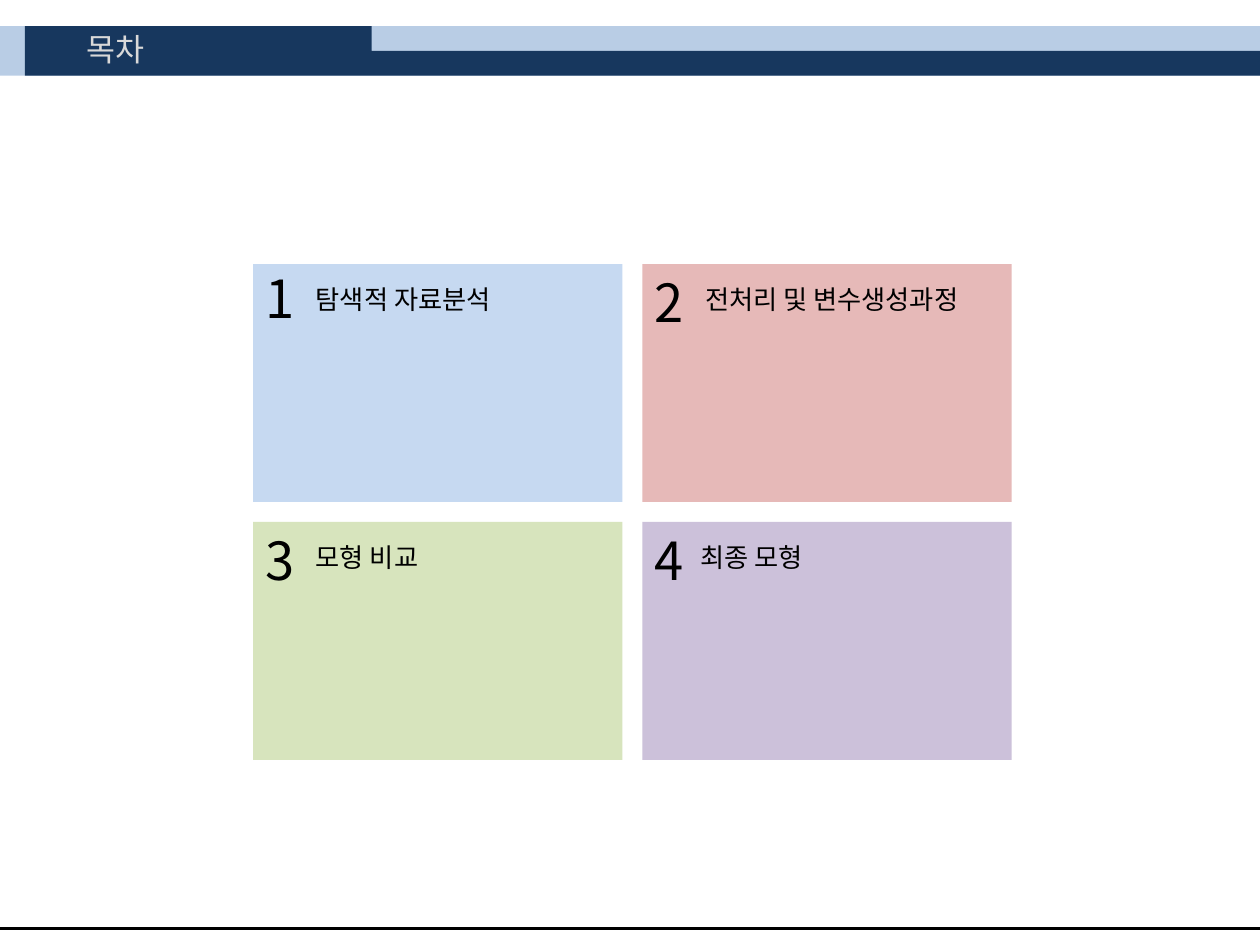
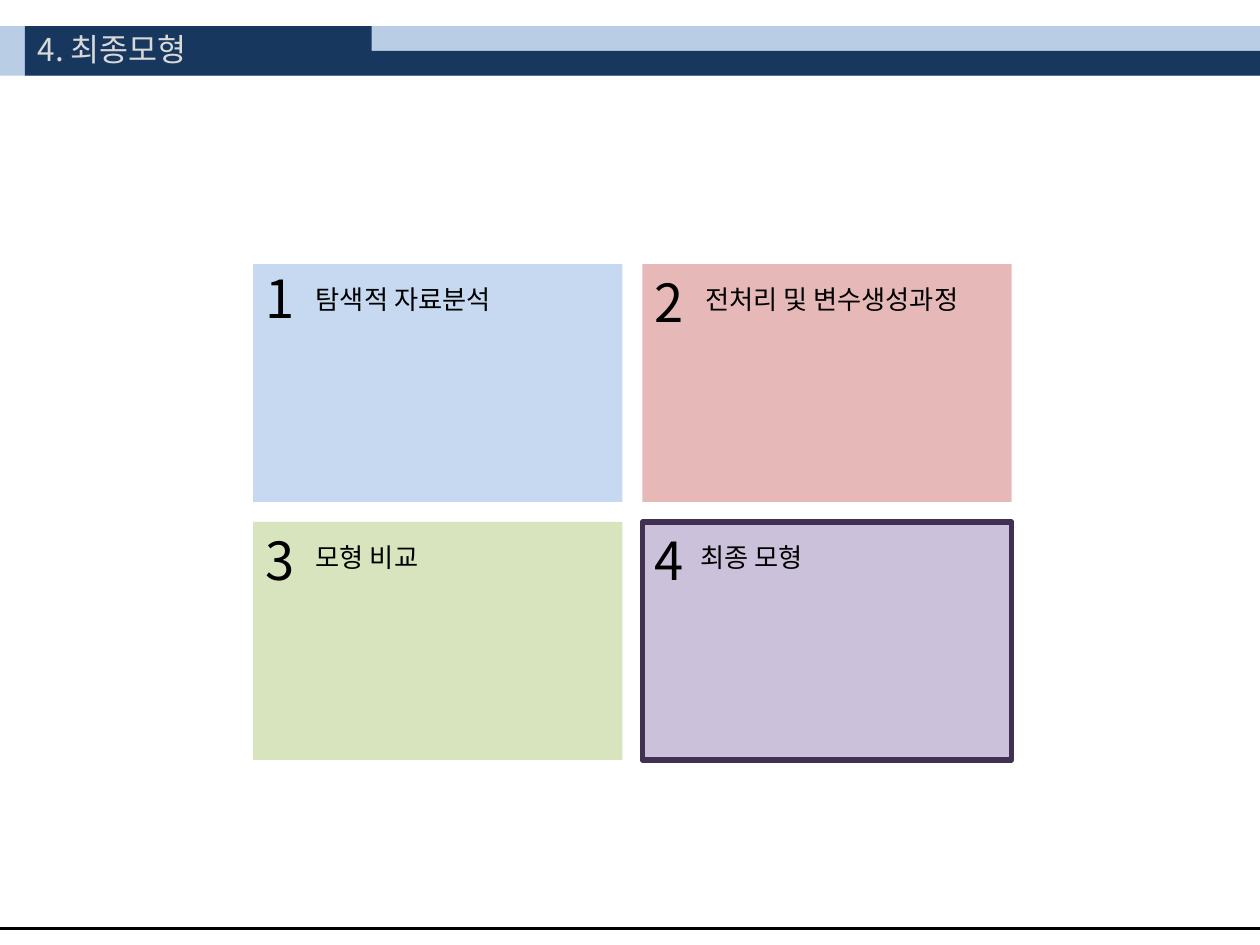
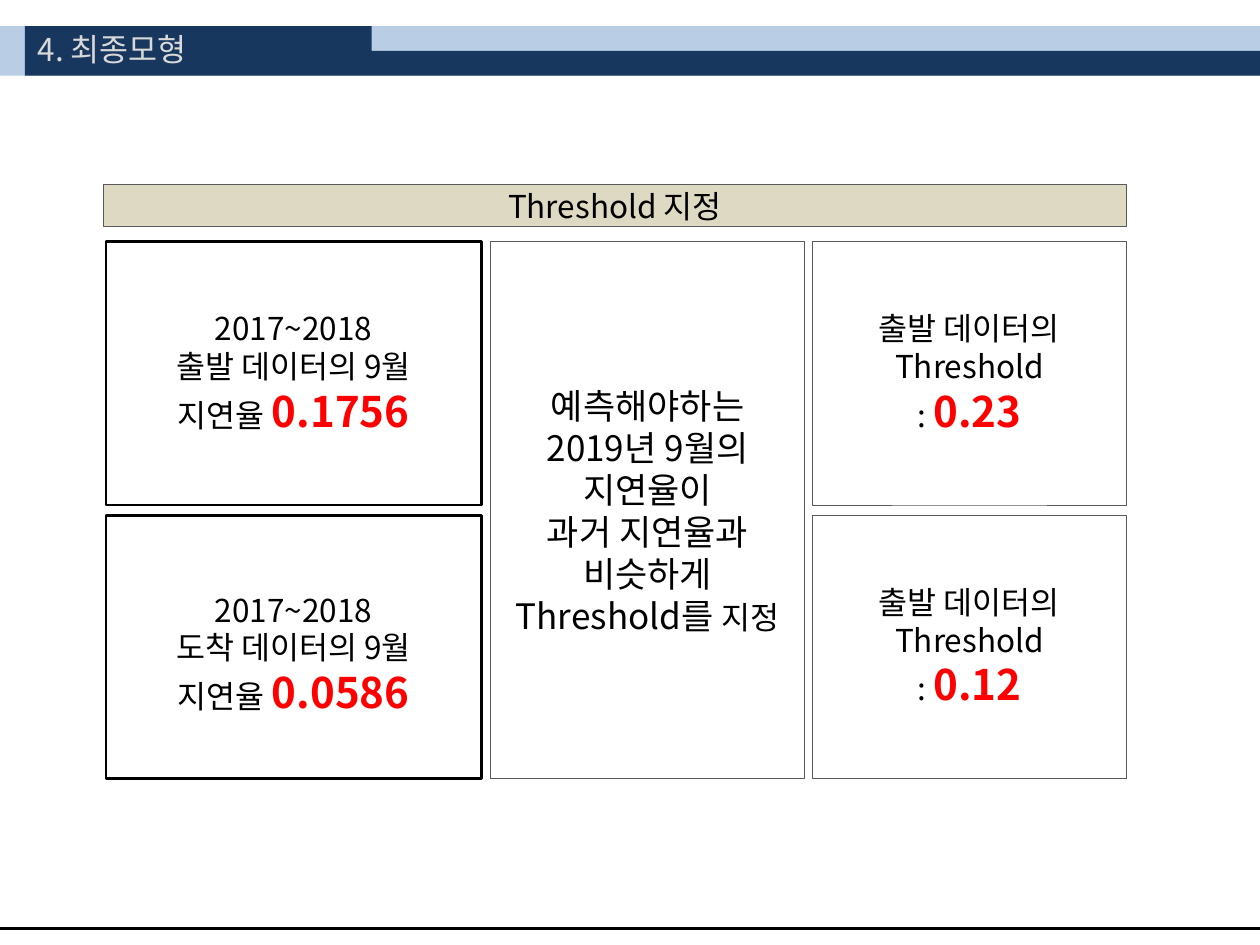
from dataclasses import dataclass
from typing import NamedTuple

from lxml import etree
from pptx import Presentation
from pptx.dml.color import RGBColor
from pptx.enum.shapes import MSO_CONNECTOR, MSO_SHAPE
from pptx.enum.text import MSO_ANCHOR, MSO_AUTO_SIZE, PP_ALIGN
from pptx.oxml.ns import qn
from pptx.util import Pt

RECTANGLE, CORNER = MSO_SHAPE.RECTANGLE, MSO_SHAPE.CORNER
STRAIGHT = MSO_CONNECTOR.STRAIGHT
LEFT, CENTER = PP_ALIGN.LEFT, PP_ALIGN.CENTER
TOP, MIDDLE = MSO_ANCHOR.TOP, MSO_ANCHOR.MIDDLE
NO_FIT, GROW = MSO_AUTO_SIZE.NONE, MSO_AUTO_SIZE.SHAPE_TO_FIT_TEXT
TITLE_ONLY = 5


@dataclass(frozen=True)
class Theme:
    """Colours, font and type sizes of the deck."""

    font: str = "Noto Sans CJK KR"
    ink: str = "000000"
    navy: str = "17375E"
    sky: str = "B9CDE5"
    title: str = "D9D9D9"
    sand: str = "DDD9C3"
    grey: str = "595959"
    accent: str = "FF0000"
    highlight: str = "403152"
    title_size: int = 18
    number_size: int = 30
    label_size: int = 15
    body_size: int = 18
    lead_size: int = 20
    value_size: int = 24
    hairline: float = 0.25


class Box(NamedTuple):
    """A rectangle in points."""

    left: float
    top: float
    width: float
    height: float

    def inner(self, dx, dy, width, height):
        """Return a box placed relative to this one."""
        return Box(self.left + dx, self.top + dy, width, height)

    def lengths(self):
        """Return the four lengths for python-pptx."""
        return [Pt(value) for value in self]


class Span(NamedTuple):
    """A stretch of text that departs from its paragraph's font."""

    text: str
    size: int
    color: str = "000000"
    bold: bool = False


class Card(NamedTuple):
    """One agenda entry with its fill and small text offsets."""

    label: str
    fill: str
    label_dx: float = 28.8
    label_width: float = 154
    number_dy: float = 0


THEME = Theme()
PAGE = Box(0, 0, 720, 540)
BAND = Box(0, 14.9, 720, 28.3)
AGENDA = Box(144.6, 150.9, 433.5, 283.4)
BOARD = Box(59.2, 105.4, 584.4, 339.6)
CARD_GAP = 11.4
CARDS = [
    Card("탐색적 자료분석", "C6D9F1", number_dy=-2.2),
    Card("전처리 및 변수생성과정", "E6B9B8", label_width=182),
    Card("모형 비교", "D7E4BD"),
    Card("최종 모형", "CCC1DA", label_dx=25.9),
]
FINAL_TITLE = "4. 최종모형"


def style_font(font, size, color, bold=False):
    """Set size, colour and weight of a font."""
    font.size = Pt(size)
    font.bold = bold
    font.color.rgb = RGBColor.from_string(color)


def write(frame, paragraphs, size, color=THEME.ink, align=LEFT, anchor=TOP):
    """Fill a text frame; a paragraph is a string or a list of strings and spans."""
    frame.vertical_anchor = anchor
    for index, content in enumerate(paragraphs):
        para = frame.paragraphs[0] if index == 0 else frame.add_paragraph()
        para.alignment = align
        style_font(para.font, size, color)
        para.font.name = THEME.font
        east_asian = etree.SubElement(para.font._element, qn("a:ea"))
        east_asian.set("typeface", THEME.font)
        for part in [content] if isinstance(content, str) else content:
            run = para.add_run()
            if isinstance(part, Span):
                run.text = part.text
                style_font(run.font, part.size, part.color, part.bold)
            else:
                run.text = part


def add_block(page, box, fill=None, line=None, weight=THEME.hairline, kind=RECTANGLE):
    """Add a flat preset shape with optional fill and outline."""
    shape = page.shapes.add_shape(kind, *box.lengths())
    shape.shadow.inherit = False
    if fill:
        shape.fill.solid()
        shape.fill.fore_color.rgb = RGBColor.from_string(fill)
    else:
        shape.fill.background()
    if line:
        shape.line.color.rgb = RGBColor.from_string(line)
        shape.line.width = Pt(weight)
    else:
        shape.line.fill.background()
    return shape


def add_text(page, box, paragraphs, size, align=LEFT, wrap=True):
    """Add a text box that grows with its text."""
    frame = page.shapes.add_textbox(*box.lengths()).text_frame
    frame.word_wrap = wrap
    frame.auto_size = GROW
    write(frame, paragraphs, size, align=align)


def add_header(page, box, title, title_dx, title_width):
    """Draw the header band and put the title in front of it."""
    add_block(page, box, THEME.sky)
    corner_box = box.inner(14.3, 0, box.width - 14.3, box.height)
    corner = add_block(page, corner_box, THEME.navy, kind=CORNER)
    corner.adjustments[0] = 0.5
    corner.adjustments[1] = 7
    heading = page.shapes.title
    heading.left, heading.top, heading.width, heading.height = box.inner(
        title_dx, -1.2, title_width, 29
    ).lengths()
    heading.text_frame.word_wrap = True
    heading.text_frame.auto_size = NO_FIT
    write(heading.text_frame, [title], THEME.title_size, THEME.title)
    page.shapes._spTree.append(heading._element)


def add_footer(page, box):
    """Draw the rule near the foot of the page."""
    height = Pt(box.top + box.height - 9.4)
    rule = page.shapes.add_connector(
        STRAIGHT, Pt(box.left), height, Pt(box.left + box.width), height
    )
    rule.line.color.rgb = RGBColor.from_string(THEME.ink)
    rule.line.width = Pt(2)
    etree.SubElement(rule._element.spPr, qn("a:effectLst"))


def add_page(deck, title, title_dx=14.3, title_width=162.7):
    """Add a page with the shared header and footer."""
    page = deck.slides.add_slide(deck.slide_layouts[TITLE_ONLY])
    add_header(page, BAND, title, title_dx, title_width)
    add_footer(page, PAGE)
    return page


def add_agenda(page, box, current=None):
    """Lay the agenda cards out two by two, outlining the current one."""
    width = (box.width - CARD_GAP) / 2
    height = (box.height - CARD_GAP) / 2
    for index, card in enumerate(CARDS):
        row, column = divmod(index, 2)
        cell = box.inner(
            column * (width + CARD_GAP), row * (height + CARD_GAP), width, height
        )
        number = index + 1
        outline = THEME.highlight if number == current else None
        add_block(page, cell, card.fill, outline, 3)
        number_box = cell.inner(0, card.number_dy, 33.1, 43.9)
        add_text(page, number_box, [str(number)], THEME.number_size, wrap=False)
        label_box = cell.inner(card.label_dx, 7.2, card.label_width, 25.2)
        add_text(page, label_box, [card.label], THEME.label_size)


def add_panel(page, box, paragraphs, line, weight, text_dx, text_dy=35.3):
    """Add an outlined panel with centred text inside."""
    add_block(page, box, line=line, weight=weight)
    text_box = box.inner(text_dx, text_dy, box.width - 2 * text_dx, 80)
    add_text(page, text_box, paragraphs, THEME.body_size, CENTER)


def value_span(value):
    """Return a figure in the accent style."""
    return Span(value, THEME.value_size, THEME.accent, True)


def add_threshold_board(page, box):
    """Show past delay rates, the reasoning and the chosen thresholds."""
    heading = add_block(
        page, box.inner(0, 0, box.width, 24), THEME.sand, THEME.grey
    )
    write(heading.text_frame, ["Threshold 지정"], THEME.body_size,
          align=CENTER, anchor=MIDDLE)

    body_top, row_height, row_pitch = 32.6, 150.6, 156.4
    rows = [("출발", "0.1756", "0.23", 35.3), ("도착", "0.0586", "0.12", 39.6)]
    for index, (kind, rate, threshold, rate_dy) in enumerate(rows):
        top = body_top + index * row_pitch
        rate_text = ["2017~2018", [f"{kind} 데이터의 9월 지연율 ", value_span(rate)]]
        add_panel(page, box.inner(1.3, top, 214.6, row_height), rate_text,
                  THEME.ink, 1.5, 7.9, rate_dy)
        threshold_text = ["출발 데이터의", "Threshold", [": ", value_span(threshold)]]
        add_panel(page, box.inner(box.width - 179.3, top, 179.3, row_height),
                  threshold_text, THEME.grey, THEME.hairline, 6.5)

    reason = add_block(
        page, box.inner(221.2, body_top, 179.3, row_pitch + row_height),
        line=THEME.grey,
    )
    reason_text = [
        "예측해야하는", "2019년 9월의", "지연율이", "과거 지연율과", "비슷하게",
        ["Threshold를 ", Span("지정", THEME.body_size)],
    ]
    write(reason.text_frame, reason_text, THEME.lead_size,
          align=CENTER, anchor=MIDDLE)


def main():
    """Build and save the deck."""
    deck = Presentation()
    deck.slide_width, deck.slide_height = Pt(PAGE.width), Pt(PAGE.height)
    add_agenda(add_page(deck, "목차", 42.5, 96.5), AGENDA)
    add_agenda(add_page(deck, FINAL_TITLE), AGENDA, current=4)
    add_threshold_board(add_page(deck, FINAL_TITLE), BOARD)
    deck.save("out.pptx")


if __name__ == "__main__":
    main()
